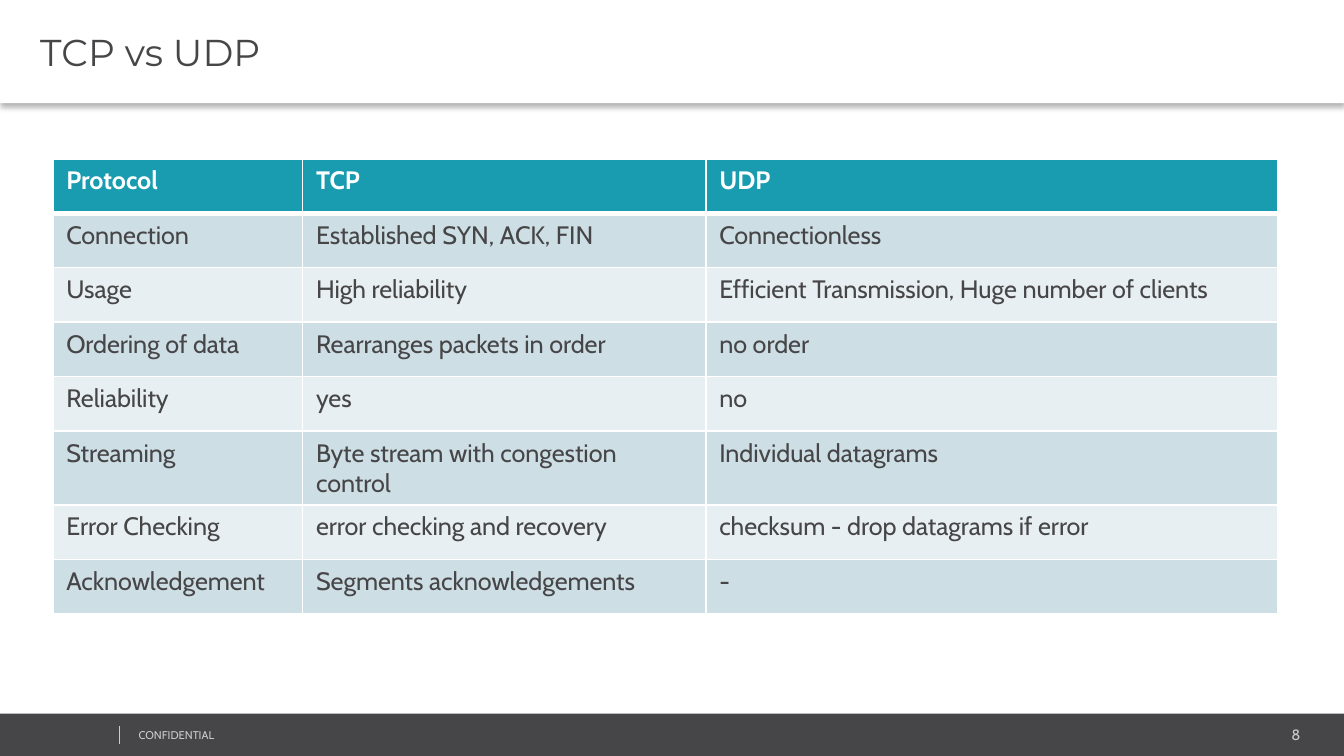
from lxml import etree
from pptx import Presentation
from pptx import util as u
from pptx.dml.color import RGBColor
from pptx.enum import shapes, text
from pptx.oxml import ns, parse_xml

WHITE, DARK, PALE, TEAL = "FFFFFF", "464547", "CCCCCC", "1A9CB0"
BANDS = ("CDDEE4", "E8EFF2")
ROWS = [
    ("Protocol", "TCP", "UDP"),
    ("Connection", "Established SYN, ACK, FIN", "Connectionless"),
    ("Usage", "High reliability", "Efficient Transmission, Huge number of clients"),
    ("Ordering of data", "Rearranges packets in order", "no order"),
    ("Reliability", "yes", "no"),
    ("Streaming", "Byte stream with congestion control", "Individual datagrams"),
    ("Error Checking", "error checking and recovery", "checksum - drop datagrams if error"),
    ("Acknowledgement", "Segments acknowledgements", "-"),
]


def color(value):
    """Turn a hex string into a colour."""
    return RGBColor.from_string(value)


def write(frame, words, size=13.5, ink=DARK, font="Cabin", bold=False,
          align=text.PP_ALIGN.LEFT):
    """Put one formatted paragraph into a text frame."""
    para = frame.paragraphs[0]
    para.alignment = align
    span = para.add_run()
    span.text = words
    span.font.name, span.font.size, span.font.bold = font, u.Pt(size), bold
    span.font.color.rgb = color(ink)


def border(cell, side, width):
    """Draw a white border along one side of a table cell."""
    line = etree.SubElement(cell._tc.get_or_add_tcPr(), ns.qn(f"a:ln{side}"),
                            w=str(u.Pt(width)))
    fill = etree.SubElement(line, ns.qn("a:solidFill"))
    etree.SubElement(fill, ns.qn("a:srgbClr"), val=WHITE)


class SlideBuilder:
    """Hold the style and the current slide."""

    def __init__(self, page):
        """Keep the page to draw on."""
        self.page = page

    def title(self, words, left, top, width, height):
        """Set the title on a white banner with a soft shadow."""
        banner = self.page.shapes.title
        banner.left, banner.top = u.Cm(left), u.Cm(top)
        banner.width, banner.height = u.Cm(width), u.Cm(height)
        banner.fill.solid()
        banner.fill.fore_color.rgb = color(WHITE)
        banner.line.fill.background()
        banner._element.spPr.append(parse_xml(
            f'<a:effectLst {ns.nsdecls("a")}>'
            f'<a:outerShdw blurRad="{u.Pt(3.1)}" dist="{u.Pt(2)}" dir="5400000" algn="t" rotWithShape="0">'
            '<a:srgbClr val="000000"><a:alpha val="30000"/></a:srgbClr>'
            '</a:outerShdw></a:effectLst>'))
        frame = banner.text_frame
        frame.auto_size = text.MSO_AUTO_SIZE.NONE
        frame.vertical_anchor = text.MSO_ANCHOR.MIDDLE
        frame.margin_left, frame.margin_right = u.Cm(0.76), u.Cm(0.18)
        frame.margin_top = frame.margin_bottom = u.Cm(0.1)
        write(frame, words, size=20, font="Montserrat")

    def bar(self, left, top, width, height, fill):
        """Add a plain filled rectangle."""
        box = self.page.shapes.add_shape(
            shapes.MSO_SHAPE.RECTANGLE, u.Cm(left), u.Cm(top), u.Cm(width), u.Cm(height))
        box.shadow.inherit = False
        box.fill.solid()
        box.fill.fore_color.rgb = color(fill)
        box.line.fill.background()

    def label(self, words, left, top, width, height, **style):
        """Add a small text box."""
        box = self.page.shapes.add_textbox(u.Cm(left), u.Cm(top), u.Cm(width), u.Cm(height))
        frame = box.text_frame
        frame.word_wrap = True
        frame.margin_left = frame.margin_right = u.Cm(0.18)
        frame.margin_top = frame.margin_bottom = u.Cm(0.1)
        write(frame, words, ink=PALE, **style)

    def rule(self, left, top, bottom):
        """Add a thin vertical line."""
        line = self.page.shapes.add_connector(
            shapes.MSO_CONNECTOR.STRAIGHT, u.Cm(left), u.Cm(top), u.Cm(left), u.Cm(bottom))
        line.line.color.rgb = color(PALE)
        line.line.width = u.Pt(0.25)
        etree.SubElement(line._element.spPr, ns.qn("a:effectLst"))

    def table(self, rows, left, top, widths, row_height):
        """Add a banded table with a coloured header row."""
        grid = self.page.shapes.add_table(
            len(rows), len(widths), u.Cm(left), u.Cm(top),
            u.Cm(sum(widths)), u.Cm(row_height * len(rows))).table
        for column, width in zip(grid.columns, widths):
            column.width = u.Cm(width)
        for r, entries in enumerate(rows):
            grid.rows[r].height = u.Cm(row_height)
            header = r == 0
            for c, words in enumerate(entries):
                cell = grid.cell(r, c)
                for side, width in (("L", 1), ("R", 1), ("T", 3 if r == 1 else 1),
                                    ("B", 3 if header else 1)):
                    border(cell, side, width)
                cell.fill.solid()
                cell.fill.fore_color.rgb = color(TEAL if header else BANDS[(r - 1) % 2])
                write(cell.text_frame, words, ink=WHITE if header else DARK, bold=header)


def main():
    """Build the protocol comparison slide."""
    deck = Presentation()
    deck.slide_width, deck.slide_height = u.Cm(25.4), u.Cm(14.29)
    slide = SlideBuilder(deck.slides.add_slide(deck.slide_layouts[5]))
    slide.bar(0, 13.49, 25.4, 0.8, DARK)
    slide.label("8", 20.62, 13.61, 4.14, 0.53, size=8, align=text.PP_ALIGN.RIGHT)
    slide.label("CONFIDENTIAL", 2.44, 13.67, 6.43, 0.46, size=6)
    slide.rule(2.26, 13.72, 14.07)
    slide.title("TCP vs UDP", 0, 0, 25.4, 1.95)
    slide.table(ROWS, 1, 3, (4.72, 7.62, 10.8), 1.03)
    deck.save("out.pptx")


if __name__ == "__main__":
    main()
